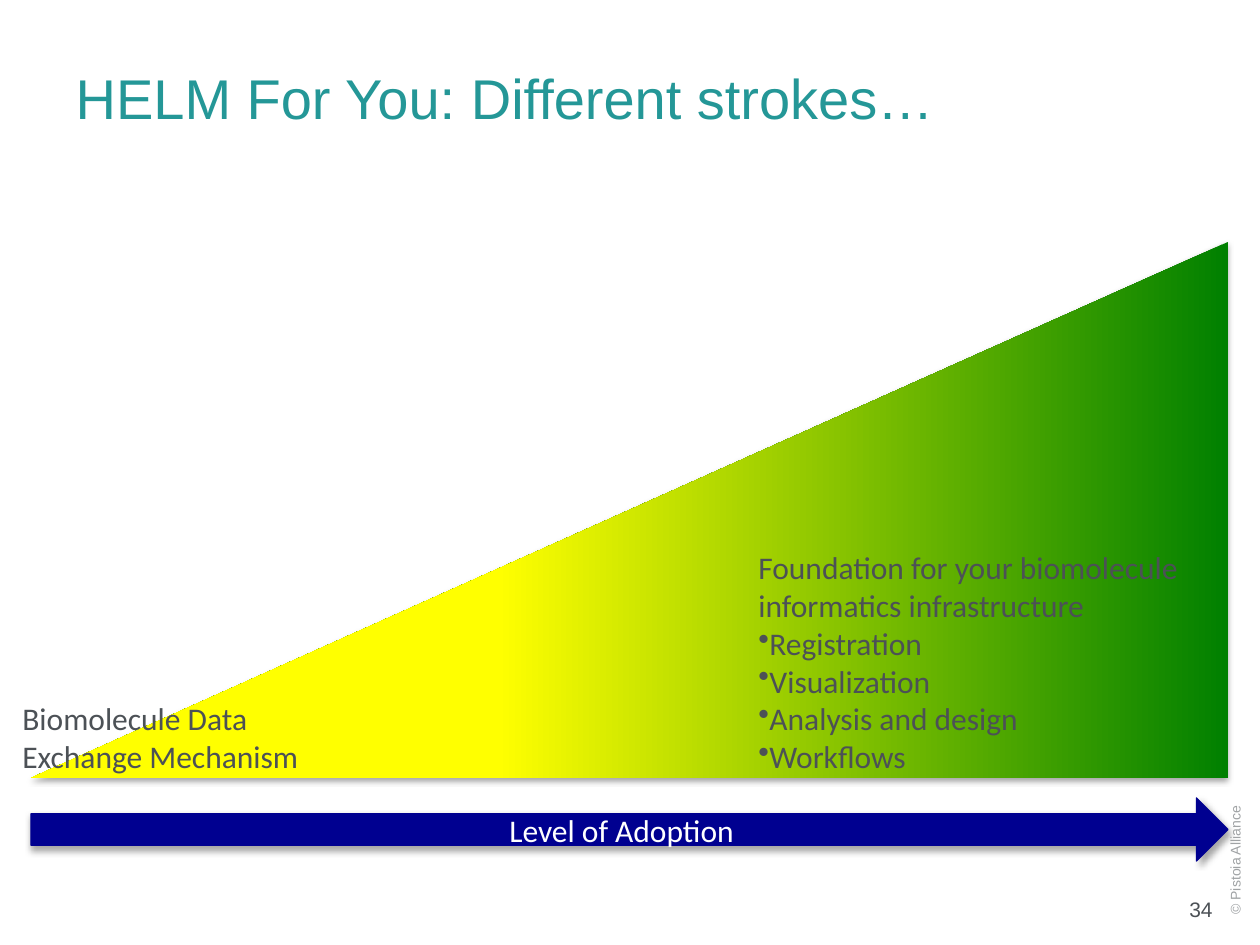
import pptx
import pptx.dml.color
import pptx.enum.shapes
import pptx.enum.text
import pptx.oxml
import pptx.oxml.ns
import pptx.util

PX = 914400 / 126
COLORS = {
    "title": "249797",
    "body": "4C5156",
    "credit": "A0A3A5",
    "high": "008000",
    "low": "FFFF00",
    "arrow": "000090",
    "label": "FFFFFF",
}
ALIGN = pptx.enum.text.PP_ALIGN
ANCHOR = pptx.enum.text.MSO_ANCHOR
SHAPE = pptx.enum.shapes.MSO_SHAPE
TITLE = {"name": "Arial", "size": 32, "color": "title"}
BODY = {"name": "Calibri", "size": 18, "color": "body"}
LABEL = {"name": "Calibri", "size": 18, "color": "label"}
NUMBER = {"name": "Arial", "size": 12, "color": "body"}
CREDIT = {"name": "Arial", "size": 8, "color": "credit"}
SHADOW = (
    f'<a:effectLst {pptx.oxml.ns.nsdecls("a")}>'
    '<a:outerShdw blurRad="40000" dist="23000" dir="5400000" rotWithShape="0">'
    '<a:srgbClr val="000000"><a:alpha val="35000"/></a:srgbClr>'
    "</a:outerShdw></a:effectLst>"
)
BULLET = f'<a:buChar {pptx.oxml.ns.nsdecls("a")} char="•"/>'


def emu(box):
    """Turn px lengths into EMU."""
    return [pptx.util.Emu(round(length * PX)) for length in box]


def rgb(name):
    """Look up a named colour."""
    return pptx.dml.color.RGBColor.from_string(COLORS[name])


def set_values(target, values):
    """Set each named attribute of the target."""
    for name, value in values.items():
        setattr(target, name, value)


def write(frame, lines, style, align=ALIGN.LEFT, bullets_from=None, **frame_format):
    """Write one paragraph per line, with bullets from a given line on."""
    set_values(frame, {"word_wrap": True, **frame_format})
    for index, line in enumerate(lines):
        paragraph = frame.paragraphs[0] if index == 0 else frame.add_paragraph()
        paragraph.alignment = align
        if bullets_from is not None and index >= bullets_from:
            paragraph.level = 1
            properties = paragraph._p.get_or_add_pPr()
            properties.set("marL", "0")
            properties.set("indent", "-285750")
            properties.append(pptx.oxml.parse_xml(BULLET))
        run = paragraph.add_run()
        run.text = line
        set_values(run.font, {"name": style["name"], "size": pptx.util.Pt(style["size"])})
        run.font.color.rgb = rgb(style["color"])


def add_heading(slide, box, text):
    """Place and format the title."""
    title = slide.shapes.title
    set_values(title, dict(zip(("left", "top", "width", "height"), emu(box))))
    write(title.text_frame, [text], TITLE, vertical_anchor=ANCHOR.MIDDLE)


def add_note(slide, box, lines, style, rotation=0, **text_format):
    """Add a text box."""
    note = slide.shapes.add_textbox(*emu(box))
    note.rotation = rotation
    write(note.text_frame, lines, style, **text_format)


def add_shadowed(slide, kind, box):
    """Add a preset shape with a soft shadow below it."""
    shape = slide.shapes.add_shape(kind, *emu(box))
    shape._element.spPr.append(pptx.oxml.parse_xml(SHADOW))
    return shape


def add_wedge(slide, box):
    """Add the rising wedge with its labels at the low and high ends."""
    left, top, width, height = box
    wedge = add_shadowed(slide, SHAPE.RIGHT_TRIANGLE, box)
    wedge._element.spPr.xfrm.set("flipH", "1")
    wedge.line.fill.background()
    wedge.fill.gradient()
    wedge.fill.gradient_angle = 0
    for stop, (color, position) in zip(
        wedge.fill.gradient_stops, (("high", 0), ("low", 0.61))
    ):
        stop.color.rgb = rgb(color)
        stop.position = position
    bottom = top + height
    add_note(
        slide,
        (left - 21, bottom - 85, 305, 89),
        ["Biomolecule Data", "Exchange Mechanism"],
        BODY,
        word_wrap=False,
    )
    add_note(
        slide,
        (left + width - 482, bottom - 236, 494, 242),
        [
            "Foundation for your biomolecule informatics infrastructure",
            "Registration",
            "Visualization",
            "Analysis and design",
            "Workflows",
        ],
        BODY,
        bullets_from=1,
    )


def add_adoption_arrow(slide, box, text):
    """Add the labelled arrow below the wedge."""
    arrow = add_shadowed(slide, SHAPE.RIGHT_ARROW, box)
    arrow.fill.solid()
    arrow.fill.fore_color.rgb = rgb("arrow")
    arrow.line.color.rgb = rgb("arrow")
    arrow.line.width = pptx.util.Pt(0.75)
    write(
        arrow.text_frame, [text], LABEL, align=ALIGN.CENTER, vertical_anchor=ANCHOR.MIDDLE
    )


def add_footer(slide, box):
    """Add the upright copyright line and the slide number."""
    left, top, width, height = box
    add_note(
        slide,
        (left - 11, top, 160, 50),
        ["© Pistoia Alliance"],
        CREDIT,
        rotation=270,
        vertical_anchor=ANCHOR.MIDDLE,
    )
    add_note(
        slide,
        (left, top + height - 39, width, 39),
        ["34"],
        NUMBER,
        align=ALIGN.RIGHT,
        vertical_anchor=ANCHOR.MIDDLE,
    )


def main():
    """Build and save the slide."""
    deck = pptx.Presentation()
    deck.slide_width, deck.slide_height = emu((1260, 945))
    slide = deck.slides.add_slide(deck.slide_layouts[5])
    add_heading(slide, (63, 49, 974, 97), "HELM For You: Different strokes…")
    add_wedge(slide, (31, 242, 1197, 536))
    add_adoption_arrow(slide, (31, 798, 1197, 63), "Level of Adoption")
    add_footer(slide, (1166, 822, 59, 107))
    deck.save("out.pptx")


if __name__ == "__main__":
    main()
